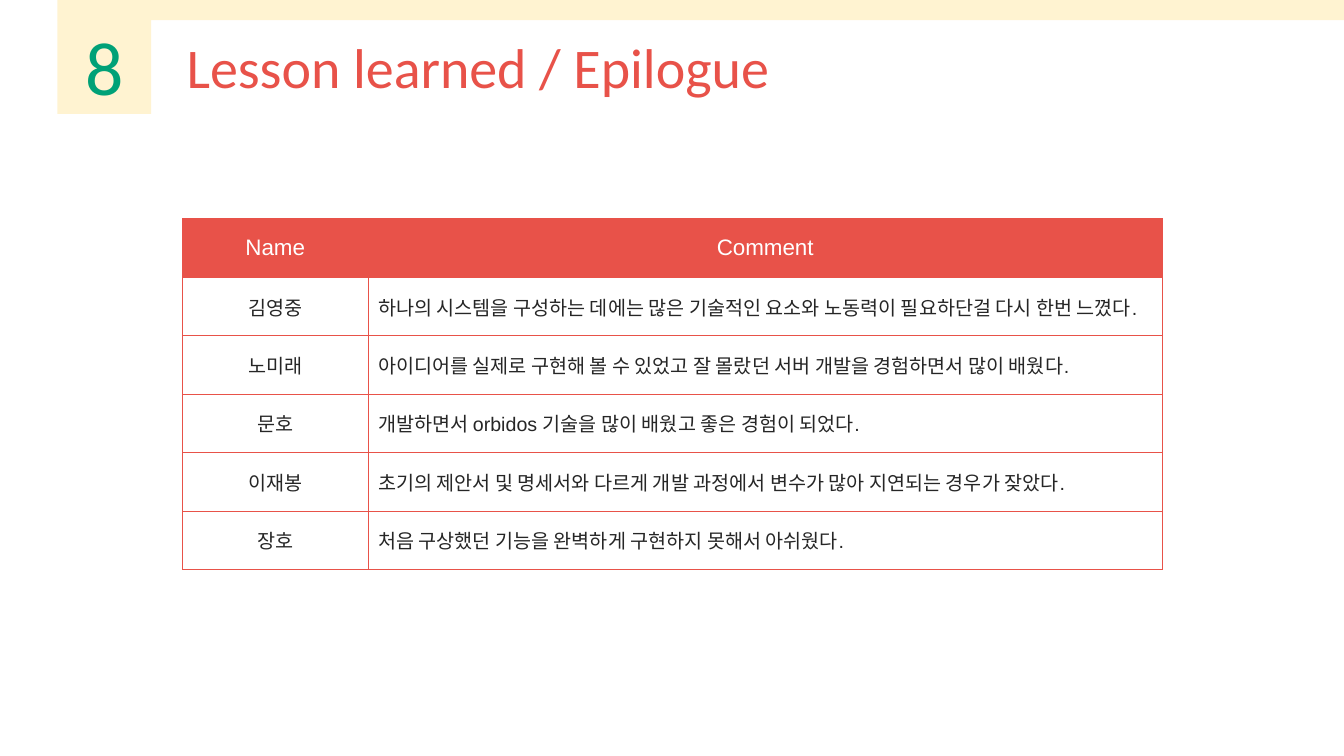
from dataclasses import dataclass

from lxml import etree
from pptx import Presentation
from pptx.dml.color import RGBColor
from pptx.enum import shapes, text
from pptx.oxml.ns import qn
from pptx.util import Inches, Pt

COLORS = {
    "coral": "E85249",
    "cream": "FFF3D1",
    "green": "00A177",
    "ink": "262626",
    "white": "FFFFFF",
}
COLUMN_WIDTHS = (1.84, 7.88)
ROW_HEIGHT = 0.58
OUTER_LINE, INNER_LINE = 0.5, 0.25


@dataclass(frozen=True)
class Box:
    left: float
    top: float
    width: float
    height: float

    def emu(self) -> tuple:
        return tuple(Inches(v) for v in (self.left, self.top, self.width, self.height))


@dataclass(frozen=True)
class Review:
    name: str
    comment: str


HEADER = Review("Name", "Comment")
REVIEWS = (
    Review("김영중", "하나의 시스템을 구성하는 데에는 많은 기술적인 요소와 노동력이 필요하단걸 다시 한번 느꼈다."),
    Review("노미래", "아이디어를 실제로 구현해 볼 수 있었고 잘 몰랐던 서버 개발을 경험하면서 많이 배웠다."),
    Review("문호", "개발하면서 orbidos 기술을 많이 배웠고 좋은 경험이 되었다."),
    Review("이재봉", "초기의 제안서 및 명세서와 다르게 개발 과정에서 변수가 많아 지연되는 경우가 잦았다."),
    Review("장호", "처음 구상했던 기능을 완벽하게 구현하지 못해서 아쉬웠다."),
)
CREAM_BANDS = (Box(0.57, 0, 12.76, 0.2), Box(0.57, 0.2, 0.93, 0.93))


def rgb(color: str) -> RGBColor:
    return RGBColor.from_string(COLORS[color])


def write(frame, words: str, size: float, font: str, color: str, align) -> None:
    frame.text = words
    paragraph = frame.paragraphs[0]
    paragraph.alignment = align
    paragraph.font.size = Pt(size)
    paragraph.font.name = font
    paragraph.font.color.rgb = rgb(color)


def add_title(slide, words: str) -> None:
    title = slide.shapes.title
    title.left, title.top, title.width, title.height = Box(1.75, 0.27, 6.49, 0.77).emu()
    frame = title.text_frame
    write(frame, words, 40, "Calibri", "coral", text.PP_ALIGN.LEFT)
    frame.paragraphs[0].line_spacing = 1.0
    frame.word_wrap = False
    frame.auto_size = text.MSO_AUTO_SIZE.SHAPE_TO_FIT_TEXT
    frame.vertical_anchor = text.MSO_ANCHOR.TOP


def add_band(slide, box: Box) -> None:
    band = slide.shapes.add_shape(shapes.MSO_SHAPE.RECTANGLE, *box.emu())
    band.shadow.inherit = False
    band.fill.solid()
    band.fill.fore_color.rgb = rgb("cream")
    band.line.fill.background()


def add_section_number(slide, number: str) -> None:
    frame = slide.shapes.add_textbox(*Box(0.57, 0.15, 0.93, 1.01).emu()).text_frame
    frame.word_wrap = True
    frame.auto_size = text.MSO_AUTO_SIZE.SHAPE_TO_FIT_TEXT
    write(frame, number, 54, "Calibri", "green", text.PP_ALIGN.CENTER)


def set_borders(cell, is_name: bool) -> None:
    """Draw coral borders, with a thinner line between the two columns."""
    left, right = (OUTER_LINE, INNER_LINE) if is_name else (INNER_LINE, OUTER_LINE)
    sides = {"a:lnL": left, "a:lnR": right, "a:lnT": OUTER_LINE, "a:lnB": OUTER_LINE}
    properties = cell._tc.get_or_add_tcPr()
    for side, width in sides.items():
        line = etree.SubElement(properties, qn(side), w=str(Pt(width)))
        fill = etree.SubElement(line, qn("a:solidFill"))
        etree.SubElement(fill, qn("a:srgbClr"), val=COLORS["coral"])


def fill_cell(cell, words: str, is_header: bool, is_name: bool) -> None:
    centered = is_header or is_name
    size, color = (16, "white") if is_header else (14, "ink")
    align = text.PP_ALIGN.CENTER if centered else text.PP_ALIGN.LEFT
    write(cell.text_frame, words, size, "Arial", color, align)
    cell.vertical_anchor = text.MSO_ANCHOR.MIDDLE
    set_borders(cell, is_name)
    if is_header:
        cell.fill.solid()
        cell.fill.fore_color.rgb = rgb("coral")
    else:
        cell.fill.background()


def add_reviews(slide) -> None:
    entries = (HEADER, *REVIEWS)
    box = Box(1.81, 2.17, sum(COLUMN_WIDTHS), ROW_HEIGHT * len(entries))
    reviews = slide.shapes.add_table(len(entries), len(COLUMN_WIDTHS), *box.emu()).table
    reviews.first_row = reviews.horz_banding = False
    for column, width in zip(reviews.columns, COLUMN_WIDTHS):
        column.width = Inches(width)
    for row, entry in enumerate(entries):
        reviews.rows[row].height = Inches(ROW_HEIGHT)
        for column, words in enumerate((entry.name, entry.comment)):
            fill_cell(reviews.cell(row, column), words, row == 0, column == 0)


def main() -> None:
    deck = Presentation()
    deck.slide_width, deck.slide_height = Inches(13.33), Inches(7.5)
    slide = deck.slides.add_slide(deck.slide_layouts.get_by_name("Title Only"))
    add_title(slide, "Lesson learned / Epilogue")
    for band in CREAM_BANDS:
        add_band(slide, band)
    add_section_number(slide, "8")
    add_reviews(slide)
    deck.save("out.pptx")


if __name__ == "__main__":
    main()
